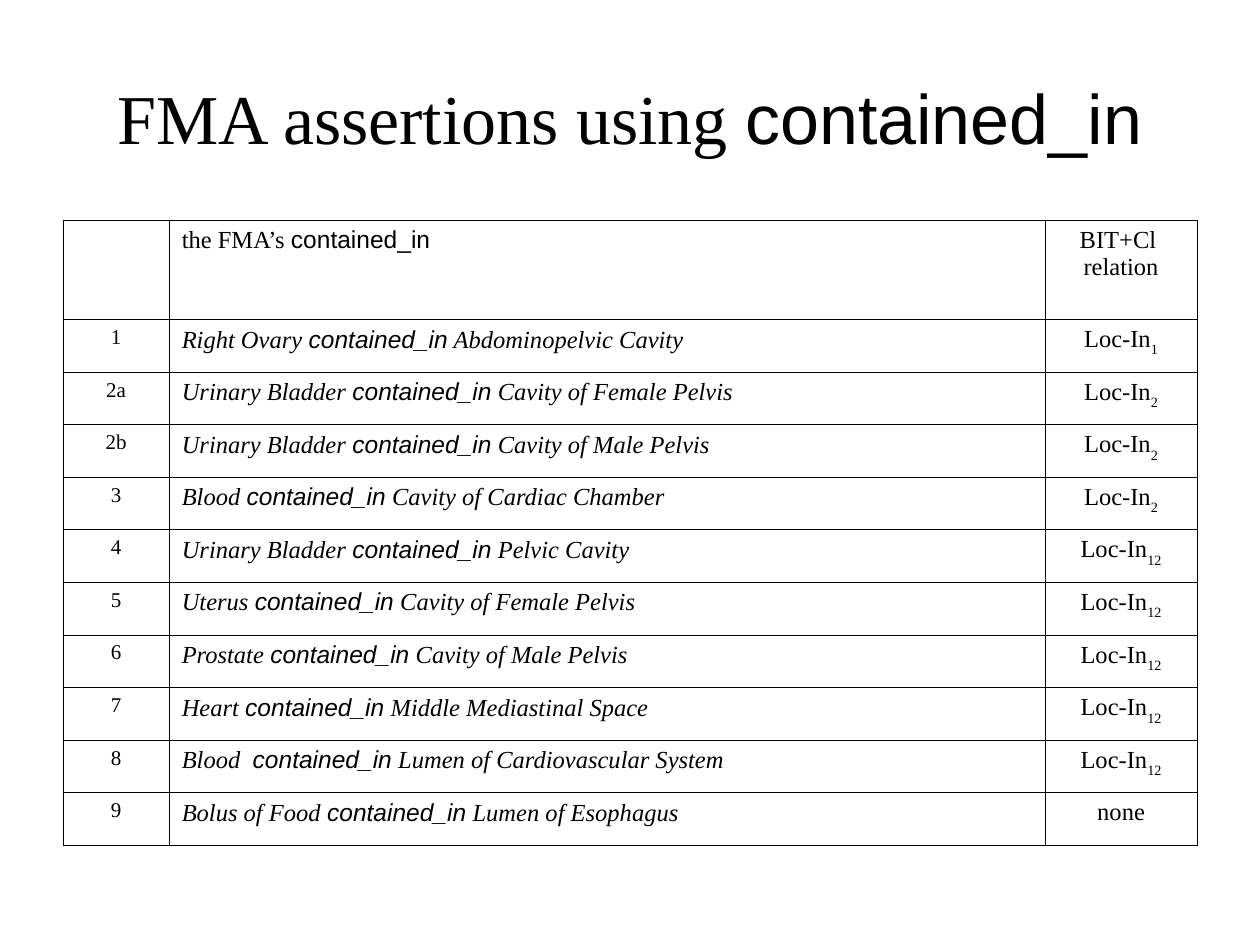
from pptx import Presentation
from pptx import util as u
from pptx.dml.color import RGBColor
from pptx.enum import text
from pptx.oxml.ns import qn
from lxml import etree

BLACK = RGBColor(0x00, 0x00, 0x00)
SERIF = "Times New Roman"
SANS = "Arial"
RELATION = "contained_in"
CENTER = text.PP_ALIGN.CENTER
LEFT = text.PP_ALIGN.LEFT

COLUMN_WIDTHS = (2.14, 17.66, 3.06)
HEADER_HEIGHT = 2.0
ROW_HEIGHT = 1.06
ASSERTIONS = [
    ("1", "Right Ovary ", " Abdominopelvic Cavity", "Loc-In", "1"),
    ("2a", "Urinary Bladder ", " Cavity of Female Pelvis", "Loc-In", "2"),
    ("2b", "Urinary Bladder ", " Cavity of Male Pelvis", "Loc-In", "2"),
    ("3", "Blood ", " Cavity of Cardiac Chamber", "Loc-In", "2"),
    ("4", "Urinary Bladder ", " Pelvic Cavity", "Loc-In", "12"),
    ("5", "Uterus ", " Cavity of Female Pelvis", "Loc-In", "12"),
    ("6", "Prostate ", " Cavity of Male Pelvis", "Loc-In", "12"),
    ("7", "Heart ", " Middle Mediastinal Space", "Loc-In", "12"),
    ("8", "Blood  ", " Lumen of Cardiovascular System", "Loc-In", "12"),
    ("9", "Bolus of Food ", " Lumen of Esophagus", "none", ""),
]


class SlideBuilder:
    def __init__(self, slide, color=BLACK, border=0.45, hanging=0.95):
        self.slide = slide
        self.color = color
        self.border = border
        self.hanging = hanging

    def paragraph(self, para, spans, size, align=LEFT, italic=False, subscript=""):
        para.alignment = align
        para.font.name = SERIF
        para.font.size = u.Pt(size)
        para.font.italic = italic
        para.font.color.rgb = self.color
        for words in spans:
            span = para.add_run()
            span.text = words
            if words == RELATION:
                span.font.name = SANS
        if subscript:
            span = para.add_run()
            span.text = subscript
            span.font._element.set("baseline", "-30000")

    def title(self, spans, left, top, width, height):
        box = self.slide.shapes.add_textbox(
            u.Cm(left), u.Cm(top), u.Cm(width), u.Cm(height))
        frame = box.text_frame
        frame.word_wrap = True
        frame.vertical_anchor = text.MSO_ANCHOR.MIDDLE
        self.paragraph(frame.paragraphs[0], spans, 40, CENTER)

    def table(self, left, top, widths, heights):
        frame = self.slide.shapes.add_table(
            len(heights), len(widths), u.Cm(left), u.Cm(top),
            u.Cm(sum(widths)), u.Cm(sum(heights)))
        table = frame.table
        table.first_row = False
        table.horz_banding = False
        for column, width in zip(table.columns, widths):
            column.width = u.Cm(width)
        for row, height in zip(table.rows, heights):
            row.height = u.Cm(height)
        for cell in table.iter_cells():
            self.outline(cell)
            cell.fill.background()
        return table

    def outline(self, cell):
        properties = cell._tc.get_or_add_tcPr()
        for side in ("a:lnL", "a:lnR", "a:lnT", "a:lnB"):
            line = etree.SubElement(properties, qn(side), w=str(u.Pt(self.border)))
            fill = etree.SubElement(line, qn("a:solidFill"))
            etree.SubElement(fill, qn("a:srgbClr"), val=str(self.color))

    def cell(self, cell, lines, size=14, **style):
        frame = cell.text_frame
        for index, spans in enumerate(lines):
            para = frame.add_paragraph() if index else frame.paragraphs[0]
            properties = para._p.get_or_add_pPr()
            properties.set("marL", str(u.Cm(self.hanging)))
            properties.set("indent", str(u.Cm(-self.hanging)))
            self.paragraph(para, spans, size, **style)


def main():
    deck = Presentation()
    deck.slide_width, deck.slide_height = u.Cm(25.4), u.Cm(19.05)
    page = SlideBuilder(deck.slides.add_slide(deck.slide_layouts[6]))

    page.title(["FMA assertions using ", RELATION], 1.27, 0.76, 22.86, 3.18)

    heights = [HEADER_HEIGHT] + [ROW_HEIGHT] * len(ASSERTIONS)
    table = page.table(1.27, 4.44, COLUMN_WIDTHS, heights)
    page.cell(table.cell(0, 1), [["the FMA’s ", RELATION]])
    page.cell(table.cell(0, 2), [["BIT+Cl "], ["relation"]], align=CENTER)
    for row, assertion in enumerate(ASSERTIONS, 1):
        number, part, container, relation, subscript = assertion
        page.cell(table.cell(row, 0), [[number]], size=12, align=CENTER)
        page.cell(table.cell(row, 1), [[part, RELATION, container]], italic=True)
        page.cell(table.cell(row, 2), [[relation]], align=CENTER, subscript=subscript)

    deck.save("out.pptx")


if __name__ == "__main__":
    main()
